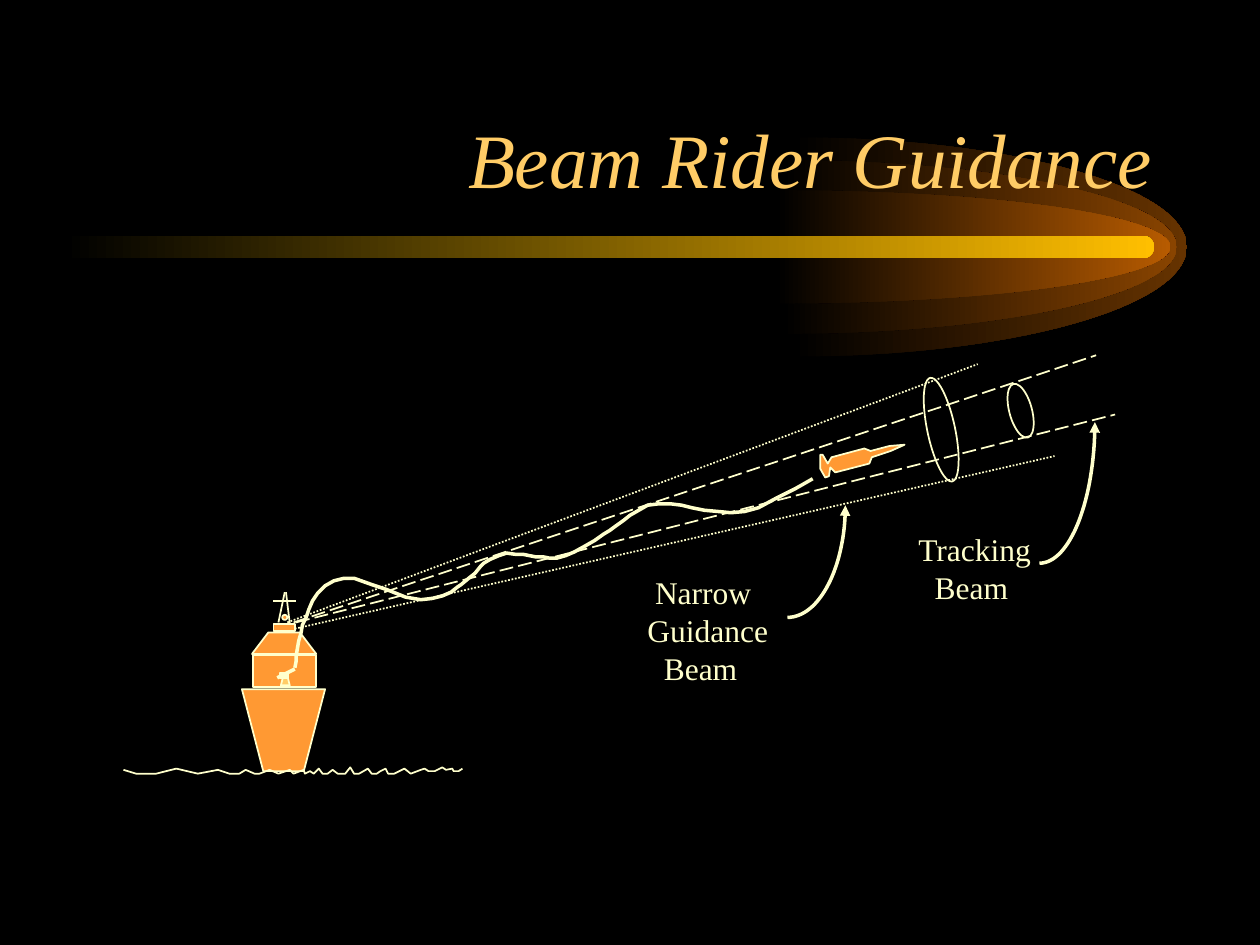
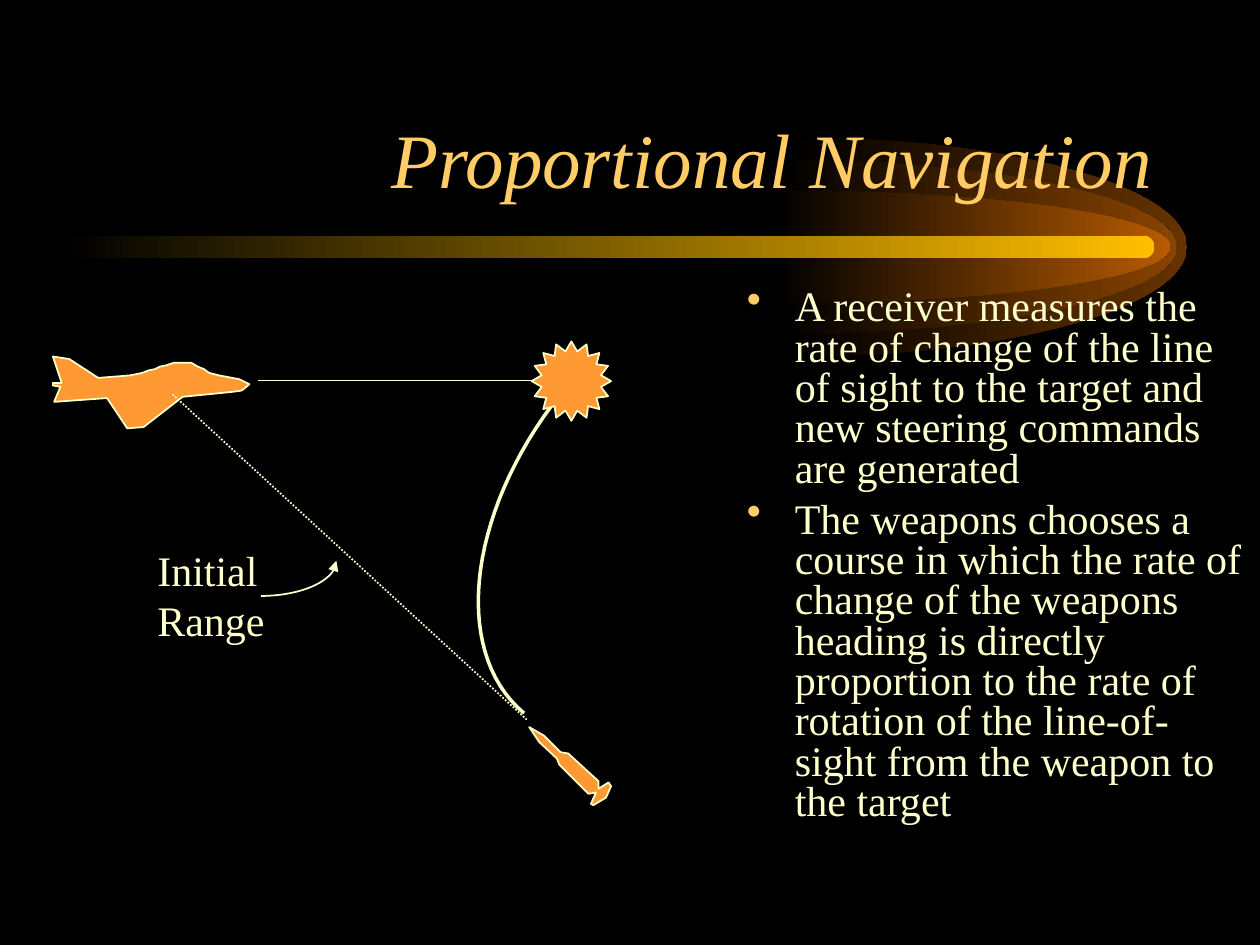
from lxml.etree import SubElement
from pptx import Presentation
from pptx.dml.color import RGBColor
from pptx.enum.dml import MSO_LINE
from pptx.enum.shapes import MSO_CONNECTOR, MSO_SHAPE
from pptx.enum.text import MSO_ANCHOR, PP_ALIGN
from pptx.oxml.ns import qn
from pptx.util import Inches, Pt

COLORS = {
    "background": "000000",
    "title": "FFCC66",
    "text": "FFFFCC",
    "body": "FF9933",
    "outer glow": "663300",
    "middle glow": "894400",
    "inner glow": "B75B00",
    "bar": "FFBF00",
}
FONT = "Times New Roman"

# Outlines are (x, y) in hundredths of an inch from their top left corner.
SEA = [
    (0, 2), (10, 5), (26, 5), (42, 1), (59, 5), (75, 2), (84, 5), (92, 5), (97, 2),
    (104, 5), (108, 5), (116, 2), (123, 5), (132, 2), (135, 5), (143, 2), (144, 5),
    (148, 3), (151, 5), (155, 1), (158, 5), (162, 5), (166, 2), (170, 5), (176, 5),
    (180, 0), (183, 5), (187, 5), (194, 1), (197, 5), (201, 5), (204, 3), (208, 1),
    (210, 5), (215, 5), (223, 1), (228, 5), (236, 2), (239, 1), (242, 3), (247, 3),
    (253, 0), (256, 2), (261, 1), (262, 3), (266, 3), (269, 1),
]
FLIGHT = [
    (0, 150), (1, 145), (1, 141), (2, 135), (3, 129), (5, 122), (6, 116), (9, 110),
    (11, 104), (14, 97), (18, 91), (24, 85), (31, 81), (39, 79), (47, 79), (61, 84),
    (73, 88), (88, 94), (100, 96), (109, 95), (117, 93), (124, 90), (129, 86),
    (132, 84), (138, 79), (143, 75), (147, 70), (150, 67), (155, 64), (162, 61),
    (168, 59), (175, 60), (181, 60), (186, 61), (191, 62), (197, 62), (202, 63),
    (208, 63), (215, 61), (222, 58), (231, 53), (238, 49), (245, 44), (250, 41),
    (254, 38), (261, 33), (266, 29), (273, 25), (280, 21), (288, 20), (299, 20),
    (307, 21), (315, 23), (325, 25), (336, 26), (346, 27), (357, 26), (368, 23),
    (381, 16), (397, 8), (411, 0),
]
RISING_MISSILE = [
    (0, 19), (0, 8), (2, 8), (6, 15), (9, 10), (35, 3), (40, 5), (55, 1), (67, 0),
    (56, 5), (41, 10), (39, 15), (12, 22), (8, 18), (7, 25), (4, 26),
]
HOMING_MISSILE = [
    (61, 56), (51, 62), (49, 61), (53, 52), (47, 53), (24, 30), (22, 25), (8, 12),
    (0, 0), (12, 7), (25, 20), (31, 21), (55, 43), (55, 49), (63, 44), (65, 47),
]
JET = [
    (1, 36), (43, 33), (59, 57), (72, 56), (103, 32), (143, 28), (150, 27), (156, 22),
    (148, 18), (132, 15), (124, 13), (120, 10), (115, 8), (110, 5), (96, 5), (90, 7),
    (85, 8), (81, 10), (76, 11), (71, 13), (66, 14), (61, 15), (36, 17), (13, 2),
    (0, 0), (7, 21), (0, 21), (0, 23), (6, 24),
]


def color(name):
    return RGBColor.from_string(COLORS[name])


def set_all(target, **values):
    for name, value in values.items():
        setattr(target, name, value)


def paint(shape, fill=None, width=1):
    shape.shadow.inherit = False
    if fill:
        shape.fill.solid()
        shape.fill.fore_color.rgb = color(fill)
    else:
        shape.fill.background()
    shape.line.color.rgb = color("text")
    shape.line.width = Pt(width)
    return shape


def fade(shape, name):
    """Fill from the background to the named colour, left to right."""
    shape.shadow.inherit = False
    shape.line.fill.background()
    shape.fill.gradient()
    shape.fill.gradient_angle = 0
    for stop, stop_name in zip(shape.fill.gradient_stops, ("background", name)):
        stop.color.rgb = color(stop_name)
    return shape


def add_outline(page, left, top, points, close=False):
    corners = [(Inches(left + x / 100), Inches(top + y / 100)) for x, y in points]
    builder = page.shapes.build_freeform(*corners[0], scale=1.0)
    builder.add_line_segments(corners[1:], close=close)
    return builder.convert_to_shape()


def bezier(start, pull, push, end, steps=32):
    points = []
    for step in range(steps + 1):
        t = step / steps
        weights = ((1 - t) ** 3, 3 * t * (1 - t) ** 2, 3 * t * t * (1 - t), t ** 3)
        points.append(tuple(
            sum(weight * value for weight, value in zip(weights, axis))
            for axis in zip(start, pull, push, end)
        ))
    return points


def quarter(width, height):
    """Quarter ellipse from the top right to the bottom left of its box."""
    x, y = width * 100, height * 100
    return bezier((x, 0), (x, 0.55 * y), (0.55 * x, y), (0, y))


def add_shape(page, kind, left, top, width, height, fill=None, rotation=0, adjust=None):
    shape = page.shapes.add_shape(
        kind, Inches(left), Inches(top), Inches(width), Inches(height))
    shape.rotation = rotation
    if adjust is not None:
        shape.adjustments[0] = adjust
    return paint(shape, fill)


def add_line(page, left, top, ends, width=1, dash=None):
    x1, y1, x2, y2 = ends
    line = page.shapes.add_connector(
        MSO_CONNECTOR.STRAIGHT, Inches(left + x1), Inches(top + y1),
        Inches(left + x2), Inches(top + y2))
    line.line.color.rgb = color("text")
    set_all(line.line, width=Pt(width), dash_style=dash)
    SubElement(line.element.spPr, qn("a:effectLst"))


def add_curved_arrow(page, left, top, width, height, weight):
    arrow = paint(add_outline(page, left, top, quarter(width, height)), width=weight)
    SubElement(arrow.element.spPr.find(qn("a:ln")), qn("a:headEnd"), type="triangle")


def write(frame, lines, size, name="text", **font):
    for index, text in enumerate(lines):
        para = frame.paragraphs[0] if index == 0 else frame.add_paragraph()
        span = para.add_run()
        span.text = text
        set_all(span.font, name=FONT, size=Pt(size), **font)
        span.font.color.rgb = color(name)
    return frame.paragraphs


def add_text(page, left, top, width, height, lines, size, wrap=False):
    box = page.shapes.add_textbox(
        Inches(left), Inches(top), Inches(width), Inches(height))
    box.text_frame.word_wrap = wrap
    return write(box.text_frame, lines, size)


def add_label(page, left, top, width, height, lines, size=18):
    """Add (text, indent in inches) lines."""
    paras = add_text(page, left, top, width, height, [text for text, _ in lines], size)
    for para, (_, indent) in zip(paras, lines):
        para._p.get_or_add_pPr().set("marL", str(Inches(indent)))


def add_bullets(page, left, top, width, height, lines):
    for para in add_text(page, left, top, width, height, lines, 24, wrap=True):
        set_all(para, line_spacing=0.8, space_before=Pt(6))
        properties = para._p.get_or_add_pPr()
        properties.set("marL", str(Inches(0.38)))
        properties.set("indent", str(Inches(-0.38)))
        tint = SubElement(properties, qn("a:buClr"))
        SubElement(tint, qn("a:srgbClr"), val=COLORS["title"])
        SubElement(properties, qn("a:buChar"), char="•")


def add_comet(page, left, top):
    """Draw three glows and a bar, all centred on one height."""
    middle = top + 0.87
    glows = [("outer glow", 5.79, 0.87), ("middle glow", 5.71, 0.69),
             ("inner glow", 5.66, 0.45)]
    for name, offset, radius in glows:
        lower = [(x, y) for x, y in quarter(3.13, radius)]
        upper = [(x, -y) for x, y in reversed(lower)]
        fade(add_outline(page, left + offset, middle, upper + lower[1:], True), name)
    fade(add_shape(page, MSO_SHAPE.ROUNDED_RECTANGLE, left, middle - 0.09,
                   8.66, 0.18, adjust=0.5), "bar")


def decorate_layout(layout, page):
    """Draw the comet on a page and hand it over to the layout."""
    layout.background.fill.solid()
    layout.background.fill.fore_color.rgb = color("background")
    first = len(page.shapes)
    add_comet(page, 0.5, 1.09)
    for index, shape in enumerate(list(page.shapes)[first:]):
        shape.element.nvSpPr.cNvPr.set("id", str(100 + index))
        layout.shapes.element.insert(2 + index, shape.element)


def set_title(page, text):
    title = page.shapes.title
    set_all(title, left=Inches(0.75), top=Inches(0.42),
            width=Inches(8.5), height=Inches(1.25))
    title.text_frame.vertical_anchor = MSO_ANCHOR.BOTTOM
    write(title.text_frame, [text], 44, "title", italic=True)[0].alignment = PP_ALIGN.RIGHT


def add_ship(page, left, top):
    parts = [
        (MSO_SHAPE.TRAPEZOID, 0, 0.77, 0.66, 0.65, "body", 180, 0.26),
        (MSO_SHAPE.TRAPEZOID, 0.08, 0.32, 0.51, 0.17, "body", 0, 0.76),
        (MSO_SHAPE.RECTANGLE, 0.09, 0.5, 0.5, 0.25, "body"),
        (MSO_SHAPE.RECTANGLE, 0.25, 0.25, 0.17, 0.06, "body"),
        (MSO_SHAPE.OVAL, 0.32, 0.18, 0.04, 0.04, "body"),
        (MSO_SHAPE.TRAPEZOID, 0.31, 0.68, 0.07, 0.06, "title", 0, 0.25),
        (MSO_SHAPE.RECTANGLE, 0.3, 0.64, 0.07, 0.04, "text"),
    ]
    for kind, x, y, *rest in parts:
        add_shape(page, kind, left + x, top + y, *rest)
    mast = [(0.34, 0, 0.29, 0.24), (0.25, 0.07, 0.43, 0.07), (0.35, 0, 0.38, 0.25)]
    for ends in mast:
        add_line(page, left, top, ends)
    add_line(page, left, top, (0.42, 0.61, 0.28, 0.68), width=2)


def add_beams(page, left, top):
    guidance = [(0, 2.12, 5.48, 0.07), (0.06, 2.17, 6.09, 0.8)]
    tracking = [(0.05, 2.12, 6.42, 0), (0.07, 2.12, 6.57, 0.47)]
    for lines, dash in ((guidance, MSO_LINE.ROUND_DOT), (tracking, MSO_LINE.LONG_DASH)):
        for ends in lines:
            add_line(page, left, top, ends, dash=dash)
    add_shape(page, MSO_SHAPE.OVAL, left + 5.08, top + 0.17, 0.22, 0.84, rotation=348)
    add_shape(page, MSO_SHAPE.OVAL, left + 5.73, top + 0.22, 0.18, 0.44, rotation=345)
    paint(add_outline(page, left + 4.23, top + 0.71, RISING_MISSILE, True), "body")
    paint(add_outline(page, left + 0.06, top + 0.98, FLIGHT), width=2)


def add_chase(page, left, top):
    """Draw jet, missile and the point where their courses meet."""
    paint(add_outline(page, left, top + 0.12, JET, True), "body")
    paint(add_outline(page, left + 3.78, top + 3.06, HOMING_MISSILE, True), "body")
    add_line(page, left, top, (1.63, 0.31, 4.12, 0.31))
    course = bezier((374, 295), (314, 245), (330, 128), (410, 33))
    paint(add_outline(page, left, top, course), width=2)
    add_line(page, left, top, (0.95, 0.42, 3.77, 3.01), dash=MSO_LINE.ROUND_DOT)
    add_shape(page, MSO_SHAPE.STAR_16_POINT, left + 3.8, top, 0.63, 0.63, "body",
              adjust=0.38)


def build_beam_rider(page):
    set_title(page, "Beam Rider Guidance")
    add_ship(page, 1.92, 4.7)
    paint(add_outline(page, 0.98, 6.09, SEA))
    add_beams(page, 2.28, 2.82)
    add_label(page, 5.04, 4.5, 1.22, 1,
              [("Narrow", 0.06), ("Guidance", 0), ("Beam", 0.13)])
    add_label(page, 7.19, 4.16, 1.1, 0.7, [("Tracking", 0), ("Beam", 0.13)])
    add_curved_arrow(page, 6.25, 4.01, 0.46, 0.89, 2)
    add_curved_arrow(page, 8.25, 3.35, 0.44, 1.12, 2)


def build_proportional_navigation(page):
    set_title(page, "Proportional Navigation")
    add_chase(page, 0.42, 2.71)
    add_label(page, 1.15, 4.27, 1.08, 0.9, [("Initial", 0), ("Range", 0)], 24)
    add_curved_arrow(page, 2.07, 4.45, 0.6, 0.28, 1)
    add_bullets(page, 5.83, 2.25, 4.17, 4.5, [
        "A receiver measures the rate of change of the line of sight to the target "
        "and new steering commands are generated",
        "The weapons chooses a course in which the rate of change of the weapons "
        "heading is directly proportion to the rate of rotation of the "
        "line-of-sight from the weapon to the target",
    ])


def main():
    deck = Presentation()
    set_all(deck, slide_width=Inches(10), slide_height=Inches(7.5))
    layout = deck.slide_layouts[5]
    pages = [deck.slides.add_slide(layout) for _ in range(2)]
    decorate_layout(layout, pages[0])
    build_beam_rider(pages[0])
    build_proportional_navigation(pages[1])
    deck.save("out.pptx")


if __name__ == "__main__":
    main()
